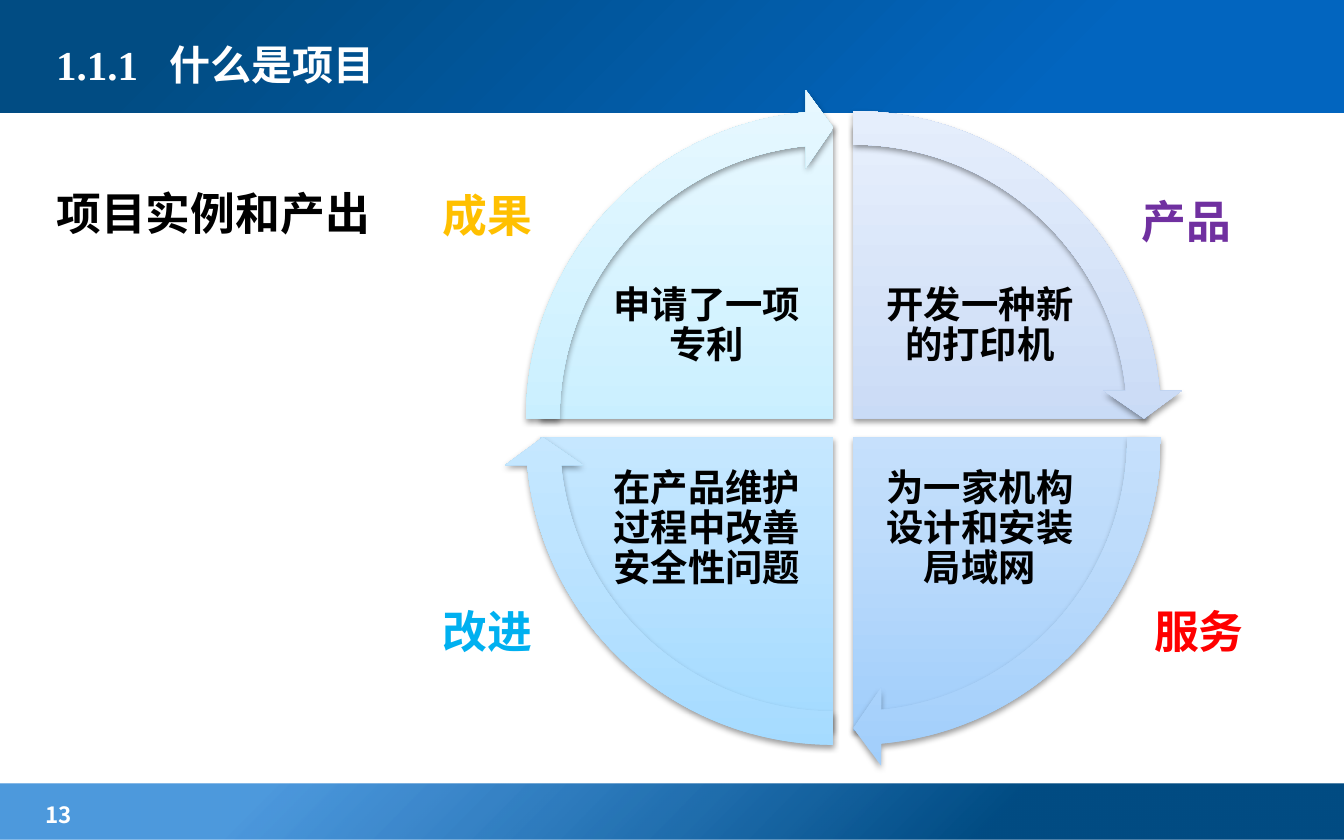
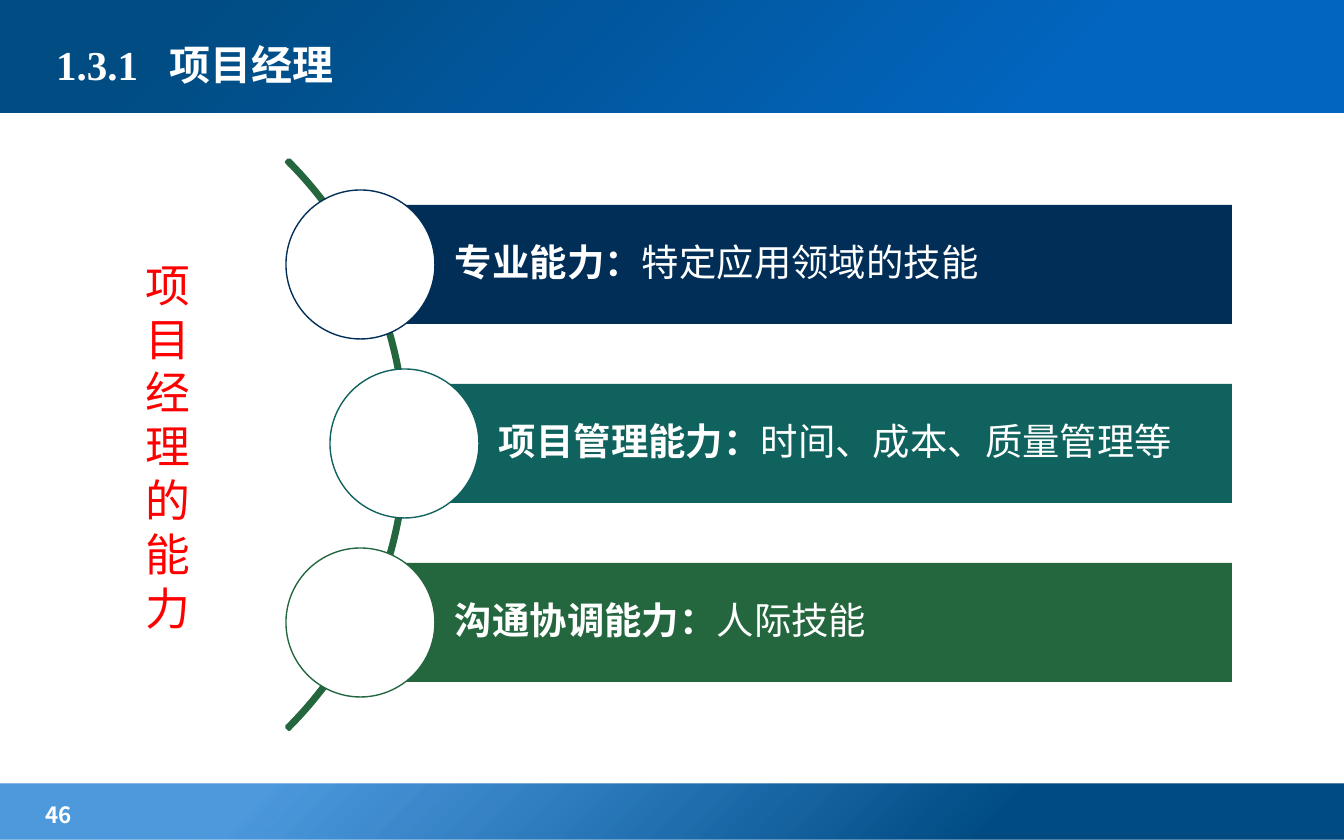
"""Build two slides on projects: a cycle of outcomes and the skills of a manager."""
import lxml.etree
import pptx
import pptx.dml.color
import pptx.enum.shapes
import pptx.enum.text
import pptx.oxml.ns
import pptx.util

RGB = pptx.dml.color.RGBColor
KIND = pptx.enum.shapes.MSO_SHAPE
ALIGN = pptx.enum.text.PP_ALIGN
ANCHOR = pptx.enum.text.MSO_ANCHOR
qn = pptx.oxml.ns.qn

WHITE = RGB(0xFF, 0xFF, 0xFF)
BLACK = RGB(0, 0, 0)
RED = RGB(0xFF, 0, 0)
GOLD = RGB(0xFF, 0xC0, 0)
PURPLE = RGB(0x70, 0x30, 0xA0)
SKY = RGB(0, 0xB0, 0xF0)
DEEP = RGB(0x01, 0x4C, 0x83)
BLUE = RGB(0x02, 0x65, 0xBF)
BRIGHT = RGB(0x02, 0x6D, 0xCE)
NAVY = RGB(0x01, 0x2E, 0x57)
TEAL = RGB(0x0F, 0x62, 0x5D)
GREEN = RGB(0x24, 0x67, 0x3E)

SERIF, SANS, HAN = "Times New Roman", "Karla", "Noto Sans CJK SC"
SCALE = 914400 / 134.4
WIDE, HIGH = 1344, 840

BANDS = [
    ((0, 784, WIDE, 56), [(26, DEEP, 100), (80, BRIGHT, 70)]),
    ((0, -4, WIDE, 117), [(21, BLUE, 100), (86, DEEP, 100)]),
]
CYCLE = {
    "number": "13",
    "title": "1.1.1\t什么是项目",
    "lead": "项目实例和产出",
    "parts": [
        ("开发一种新的打印机", 1, 0, 162, ("A6C4F1", "C1D5F4", "E7EFFC")),
        ("为一家机构设计和安装局域网", 1, 1, 0, ("A1CEFB", "BEDCFB", "E5F1FF")),
        ("在产品维护过程中改善安全性问题", 0, 1, 54, ("A3DAFF", "BEE4FF", "E6F4FF")),
        ("申请了一项专利", 0, 0, 108, ("A7E6FF", "C1EDFF", "E7F8FF")),
    ],
    "labels": [
        ("产品", PURPLE, (1128, 187, 137, 67)),
        ("服务", RED, (1141, 597, 118, 67)),
        ("改进", SKY, (429, 597, 124, 67)),
        ("成果", GOLD, (429, 181, 137, 67)),
    ],
}
SKILLS = {
    "number": "46",
    "title": "1.3.1\t项目经理",
    "lead": "项目经理的能力",
    "rows": [
        (360, NAVY, "专业能力：", [("特定应用领域的技能", SERIF)]),
        (404, TEAL, "项目管理能力：", [("时间、成本、", SANS), ("质量管理等", SERIF)]),
        (360, GREEN, "沟通协调能力：", [("人际技能", SERIF)]),
    ],
}


def px(size):
    return pptx.util.Emu(round(size * SCALE))


def put(item, values):
    for name, value in values.items():
        setattr(item, name, value)


def node(parent, tag, **values):
    return lxml.etree.SubElement(parent, qn(tag), values)


def write(shape, runs, frame=None, para=None, tab=None):
    """Fill a shape with one paragraph of (text, font values) runs."""
    body = shape.text_frame
    put(body, {"word_wrap": True, **(frame or {})})
    line = body.paragraphs[0]
    if tab:
        stops = node(line._p.get_or_add_pPr(), "a:tabLst")
        node(stops, "a:tab", pos=str(px(tab)), algn="l")
    put(line, para or {})
    for text, look in runs:
        run = line.add_run()
        run.text = text
        look = dict(look)
        run.font.color.rgb = look.pop("color")
        put(run.font, look)
        node(run._r.get_or_add_rPr(), "a:ea", typeface=HAN)


def font(size, color, name=SERIF, bold=True):
    return {"size": pptx.util.Pt(size), "color": color, "name": name, "bold": bold}


def box(slide, place, text, look, **more):
    write(slide.shapes.add_textbox(*map(px, place)), [(text, look)], **more)


def draw(slide, kind, place, fill=None, line=None, width=1, turns=()):
    """Add a flat preset shape, with fill and line only where given."""
    shape = slide.shapes.add_shape(kind, *map(px, place))
    shape.shadow.inherit = False
    for spot, turn in enumerate(turns):
        shape.adjustments[spot] = turn
    if fill is None:
        shape.fill.background()
    else:
        shape.fill.solid()
        shape.fill.fore_color.rgb = fill
    if line is None:
        shape.line.fill.background()
    else:
        shape.line.color.rgb = line
        shape.line.width = pptx.util.Pt(width)
    return shape


def blend(shape, stops, round_off=False):
    """Give a shape a gradient, upward or spreading from its lower right corner."""
    props = shape._element.spPr
    grad = lxml.etree.Element(qn("a:gradFill"), rotWithShape="1")
    group = node(grad, "a:gsLst")
    for spot, color, alpha in stops:
        stop = node(group, "a:gs", pos=str(spot * 1000))
        tint = node(stop, "a:srgbClr", val=str(color))
        if alpha < 100:
            node(tint, "a:alpha", val=str(alpha * 1000))
    if round_off:
        focus = node(grad, "a:path", path="circle")
        node(focus, "a:fillToRect", l="100000", t="100000")
    else:
        node(grad, "a:lin", ang="16200000", scaled="0")
    props.replace(props.find(qn("a:noFill")), grad)


def shade(shape):
    effect = shape._element.spPr.find(qn("a:effectLst"))
    cast = node(effect, "a:outerShdw", blurRad="40000", dist="20000",
                dir="5400000", rotWithShape="0")
    node(node(cast, "a:srgbClr", val=str(BLACK)), "a:alpha", val="38000")


def start(deck, data):
    """Add a slide with the shared bands, page number and title."""
    slide = deck.slides.add_slide(deck.slide_layouts[6])
    for place, stops in BANDS:
        blend(draw(slide, KIND.RECTANGLE, place), stops, True)
    box(slide, (27, 794, 211, 35), " " + data["number"], font(12, WHITE, HAN))
    box(slide, (43, 17, 857, 95), data["title"], font(22, WHITE),
        frame={"vertical_anchor": ANCHOR.MIDDLE}, tab=113)
    return slide


def cycle(deck, data):
    slide = start(deck, data)
    box(slide, (43, 125, 1227, 524), data["lead"], font(24, BLACK),
        para={"line_spacing": 2.0})
    quarter, head, size, rim = 54, 3.275, 587, 36
    sides = ("margin_left", "margin_top", "margin_right", "margin_bottom")
    frame = {"vertical_anchor": ANCHOR.MIDDLE, **dict.fromkeys(sides, px(4))}
    para = {"alignment": ALIGN.CENTER, "line_spacing": 0.9}
    rings = []
    for text, col, row, turn, colors in data["parts"]:
        left, top = 540 + 20 * col, 125 + 19 * row
        stops = [(spot, RGB.from_string(color), 100)
                 for spot, color in zip((0, 35, 100), colors)]
        pie = draw(slide, KIND.PIE, (left, top, size, size),
                   turns=(turn, (turn + quarter) % 216))
        blend(pie, stops)
        shade(pie)
        box(slide, (599 + 273 * col, 246 + 203 * row, 216, 161), text,
            font(20, BLACK), frame=frame, para=para)
        rings.append(((left - rim, top - rim, size + 2 * rim, size + 2 * rim),
                      (0.051, head, turn + quarter - head, turn, 0.059), stops))
    for place, turns, stops in rings:
        arrow = draw(slide, KIND.CIRCULAR_ARROW, place, turns=turns)
        blend(arrow, stops)
        shade(arrow)
    for text, color, place in data["labels"]:
        box(slide, place, text, font(24, color))


def skills(deck, data):
    slide = start(deck, data)
    draw(slide, KIND.BLOCK_ARC, (-398, 42, 805, 805), line=GREEN, width=2,
         turns=(189, 27, 0.004))
    right, high, step, disc = 1232, 119, 179, 149
    frame = {"vertical_anchor": ANCHOR.MIDDLE, "margin_left": px(95),
             "margin_top": px(8), "margin_right": px(8), "margin_bottom": px(8)}
    para = {"alignment": ALIGN.LEFT, "line_spacing": 0.9}
    for row, (left, color, name, rest) in enumerate(data["rows"]):
        top = 205 + step * row
        bar = draw(slide, KIND.RECTANGLE, (left, top, right - left, high), color)
        runs = [(name, font(20, WHITE, SANS))]
        runs += [(text, font(20, WHITE, face, False)) for text, face in rest]
        write(bar, runs, frame, para)
        draw(slide, KIND.OVAL, (left - disc // 2, top - (disc - high) // 2, disc, disc),
             WHITE, color, 0.75)
    box(slide, (132, 251, 52, 406), data["lead"], font(24, RED, SANS, False))


def main():
    deck = pptx.Presentation()
    put(deck, {"slide_width": px(WIDE), "slide_height": px(HIGH)})
    cycle(deck, CYCLE)
    skills(deck, SKILLS)
    deck.save("out.pptx")


if __name__ == "__main__":
    main()
